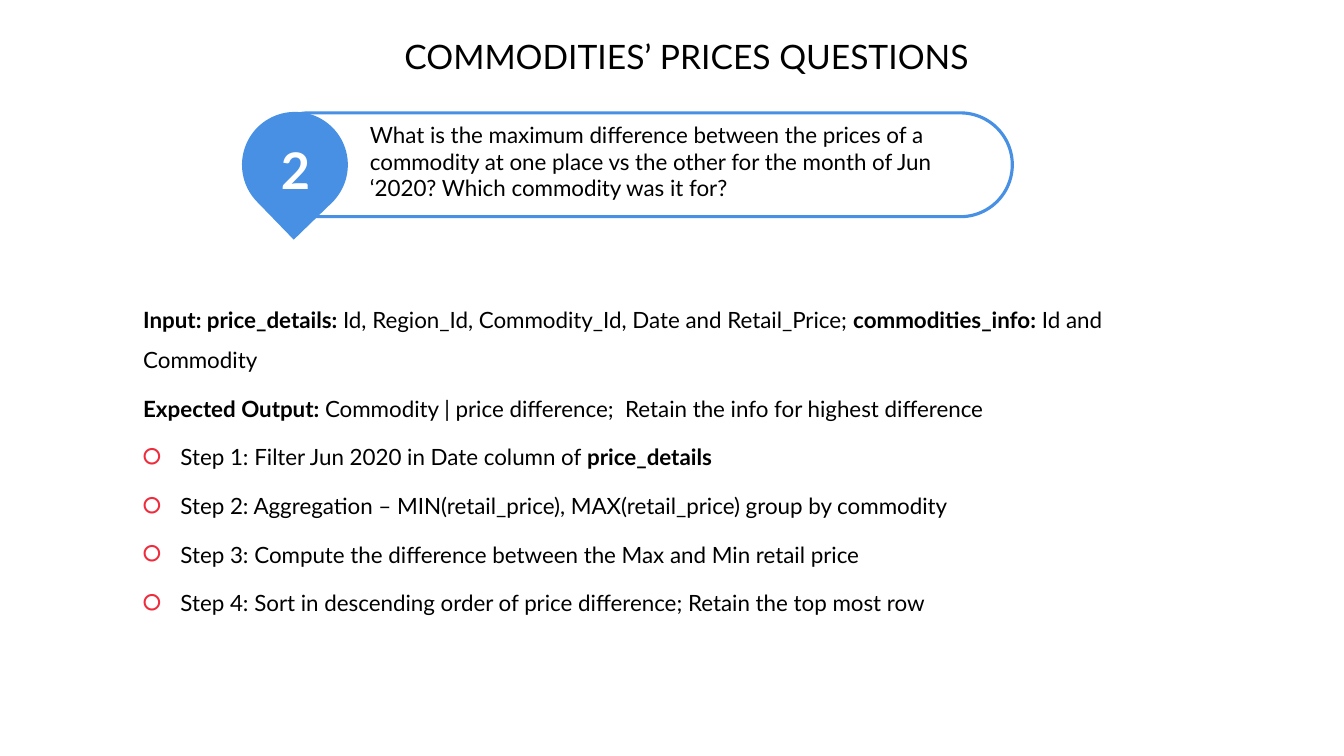
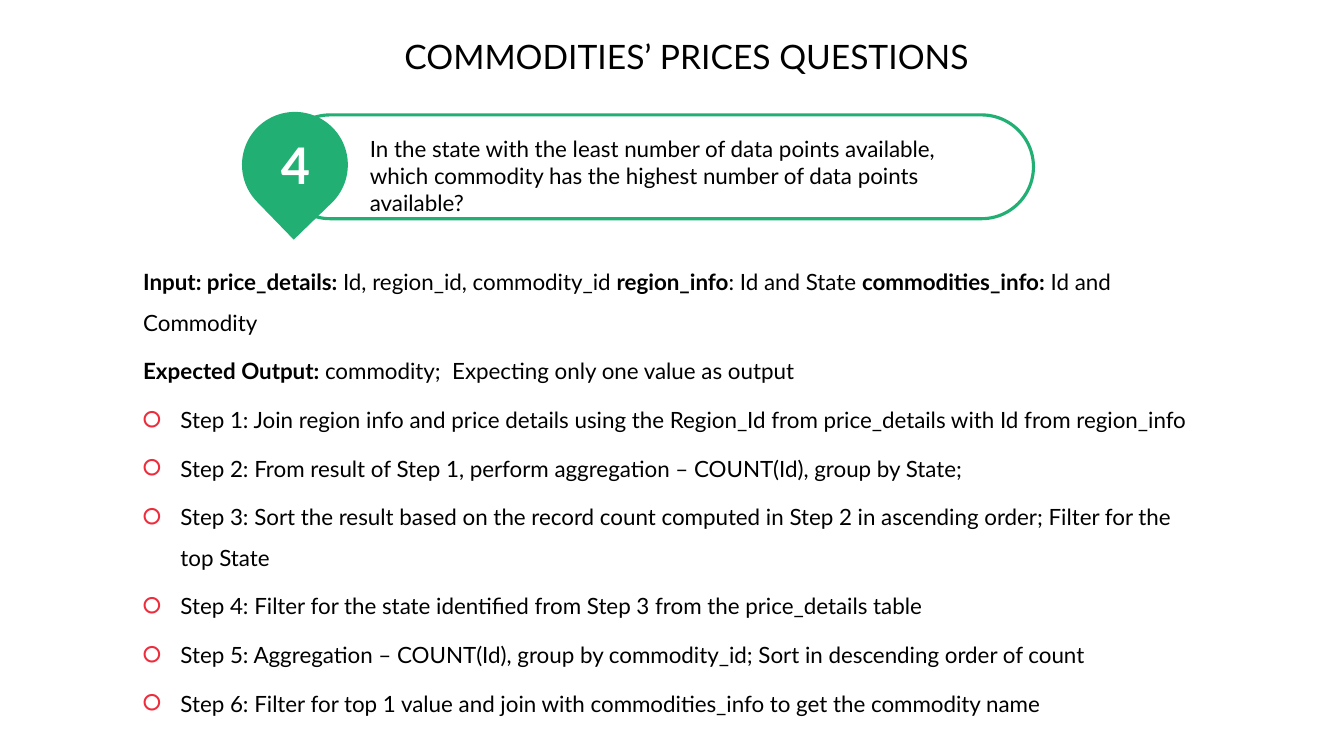
from lxml import etree
from pptx import Presentation, util as u
from pptx.dml.color import RGBColor
from pptx.enum import shapes, text
from pptx.oxml.ns import qn

PX = 9144  # 100 px to the inch
FONT = "Lato"
BLACK, WHITE, RED = "000000", "FFFFFF", "EE2C3C"
BLUE, GREEN = "4890E4", "22AF73"
TITLE = "COMMODITIES’ PRICES QUESTIONS"
STEP_INDENT = 37

# Text between ** marks is bold.
QUESTIONS = [
    dict(
        number="2", color=BLUE,
        question="What is the maximum difference between the prices of a commodity at one place "
                 "vs the other for the month of Jun ‘2020? Which commodity was it for?",
        banner_at=(255, 112), question_box=(357, 115, 631, 96), number_top=132,
        body_top=285, body_height=335,
        summary=[
            "**Input: price_details: **Id, Region_Id, Commodity_Id, Date and Retail_Price; "
            "**commodities_info:** Id and Commodity",
            "**Expected Output: **Commodity | price difference;  Retain the info for highest difference",
        ],
        steps=[
            "Filter Jun 2020 in Date column of **price_details**",
            "Aggregation – MIN(retail_price), MAX(retail_price) group by commodity",
            "Compute the difference between the Max and Min retail price",
            "Sort in descending order of price difference; Retain the top most row",
        ],
    ),
    dict(
        number="4", color=GREEN,
        question="In the state with the least number of data points available, which commodity "
                 "has the highest number of data points available?",
        banner_at=(276, 114), question_box=(357, 129, 640, 96), number_top=128,
        body_top=248, body_height=473,
        summary=[
            "**Input: price_details: **Id, region_id, commodity_id **region_info**: Id and State "
            "**commodities_info:** Id and Commodity",
            "**Expected Output: **commodity;  Expecting only one value as output",
        ],
        steps=[
            "Join region info and price details using the Region_Id from price_details "
            "with Id from region_info",
            "From result of Step 1, perform aggregation – COUNT(Id), group by State;",
            "Sort the result based on the record count computed in Step 2 in ascending order; "
            "Filter for the top State",
            "Filter for the state identified from Step 3 from the price_details table",
            "Aggregation – COUNT(Id), group by commodity_id; Sort in descending order of count",
            "Filter for top 1 value and join with commodities_info to get the commodity name",
        ],
    ),
]


def rgb(value):
    return RGBColor.from_string(value)


def write(shape, box, lines, size=16, color=BLACK, bold=False, align=text.PP_ALIGN.LEFT,
          anchor=text.MSO_ANCHOR.TOP, line_spacing=1, gap=0, bullets_from=None):
    """Place the shape and fill it; ** toggles bold, lines from bullets_from on get a bullet."""
    shape.left, shape.top, shape.width, shape.height = (u.Emu(length * PX) for length in box)
    frame = shape.text_frame
    frame.word_wrap = True
    frame.auto_size = text.MSO_AUTO_SIZE.NONE
    frame.vertical_anchor = anchor
    for index, line in enumerate(lines):
        paragraph = frame.add_paragraph() if index else frame.paragraphs[0]
        if bullets_from is not None:
            properties = paragraph._p.get_or_add_pPr()
            bulleted = index >= bullets_from
            indent = STEP_INDENT * PX if bulleted else 0
            properties.set("marL", str(indent))
            properties.set("indent", str(-indent))
            if bulleted:
                bullet_color = etree.SubElement(properties, qn("a:buClr"))
                etree.SubElement(bullet_color, qn("a:srgbClr"), val=RED)
                etree.SubElement(properties, qn("a:buChar"), char="🞆")
            else:
                etree.SubElement(properties, qn("a:buNone"))
        paragraph.alignment = align
        paragraph.line_spacing = line_spacing
        paragraph.space_before = u.Pt(gap if index else 0)
        paragraph.space_after = u.Pt(0)
        for position, part in enumerate(line.split("**")):
            if part:
                run = paragraph.add_run()
                run.text = part
                run.font.name = FONT
                run.font.size = u.Pt(size)
                run.font.bold = bold or position % 2 == 1
                run.font.color.rgb = rgb(color)


presentation = Presentation()
presentation.slide_width = u.Emu(1333 * PX)
presentation.slide_height = u.Emu(750 * PX)

for item in QUESTIONS:
    slide = presentation.slides.add_slide(presentation.slide_layouts[1])
    write(slide.shapes.title, (226, 31, 910, 57), [TITLE], size=24, align=text.PP_ALIGN.CENTER)

    steps = [f"Step {count}: {step}" for count, step in enumerate(item["steps"], 1)]
    write(slide.placeholders[1], (132, item["body_top"], 1069, item["body_height"]),
          item["summary"] + steps, line_spacing=1.5, gap=6, bullets_from=len(item["summary"]))

    for preset, box, adjustment, fill in (
        (shapes.MSO_SHAPE.ROUNDED_RECTANGLE, (*item["banner_at"], 749, 103), 0.5, WHITE),
        (shapes.MSO_SHAPE.TEAR, (240, 111, 105, 105), 1, item["color"]),
    ):
        shape = slide.shapes.add_shape(preset, *(u.Emu(length * PX) for length in box))
        shape.adjustments[0] = adjustment
        shape.shadow.inherit = False
        shape.fill.solid()
        shape.fill.fore_color.rgb = rgb(fill)
        if preset == shapes.MSO_SHAPE.TEAR:
            shape.rotation = 135.9
            shape.line.fill.background()
        else:
            shape.line.color.rgb = rgb(item["color"])
            shape.line.width = u.Pt(2.25)

    write(slide.shapes.add_textbox(0, 0, 0, 0), item["question_box"], [item["question"]])
    write(slide.shapes.add_textbox(0, 0, 0, 0), (240, item["number_top"], 106, 71),
          [item["number"]], size=36, color=WHITE, bold=True,
          align=text.PP_ALIGN.CENTER, anchor=text.MSO_ANCHOR.MIDDLE)

presentation.save("out.pptx")
